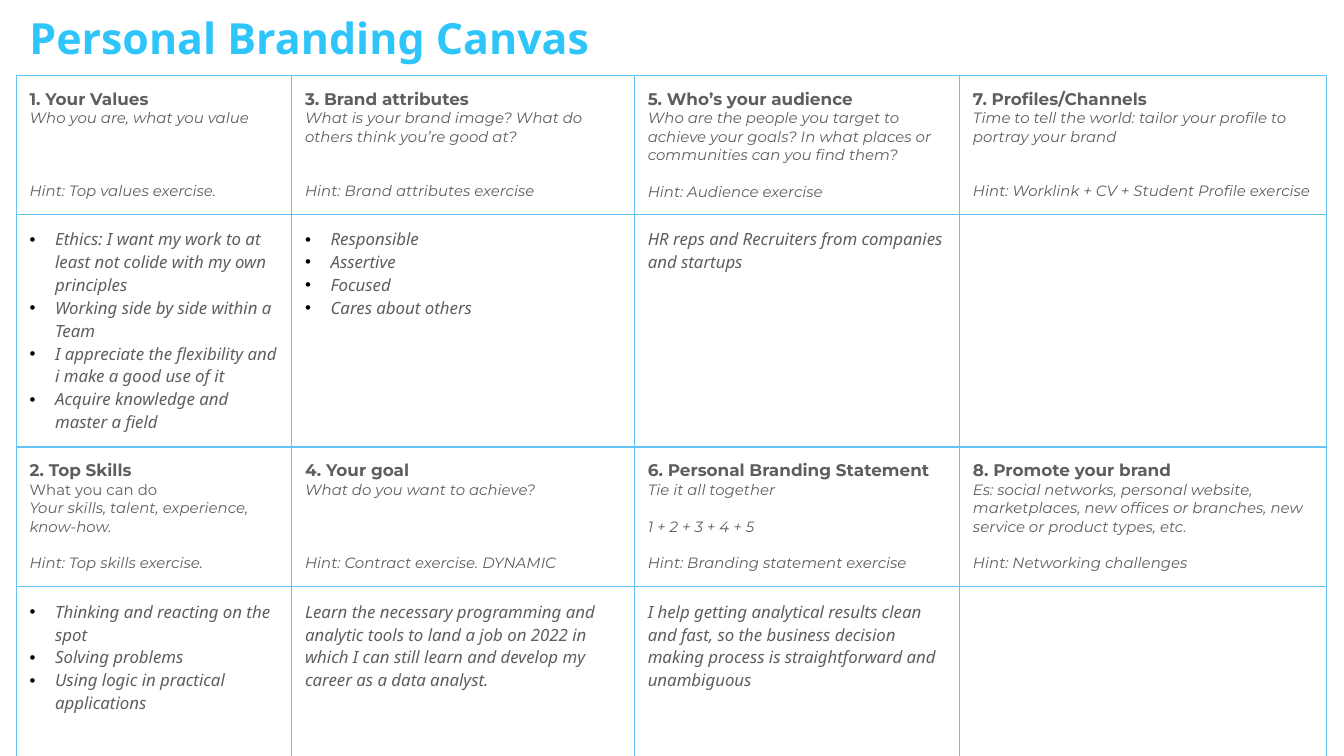
"""Builds a one-slide personal branding canvas."""
import dataclasses
import typing

import lxml.etree
import pptx
import pptx.dml.color
import pptx.oxml.ns
import pptx.util

Inches = pptx.util.Inches
Pt = pptx.util.Pt
qualified = pptx.oxml.ns.qn


@dataclasses.dataclass(frozen=True)
class Theme:
    heading_font: str = "Montserrat"
    body_font: str = "Noto Sans"
    title_colour: str = "2DC5FA"
    text_colour: str = "5E5E5E"
    bullet_colour: str = "000000"
    border_colour: str = "64C3F5"
    title_size: float = 23
    text_size: float = 9
    hint_size: float = 8
    hint_line: float = 9.75
    border_width: float = 0.75
    inset: float = 0.1
    bullet_indent: float = 0.19


@dataclasses.dataclass(frozen=True)
class Line:
    text: str
    gap_lines: int = 0
    italic: bool = True


@dataclasses.dataclass(frozen=True)
class Prompt:
    heading: str
    lines: tuple[Line, ...]


@dataclasses.dataclass(frozen=True)
class Answer:
    texts: tuple[str, ...] = ()
    bulleted: bool = False


THEME = Theme()
PAGE_WIDTH = 10
PAGE_HEIGHT = PAGE_WIDTH * 9 / 16
COLUMN_WIDTHS = (2.05, 2.55, 2.42, 2.73)
ROW_HEIGHTS = (0.99, 1.29, 1.04, 1.64)

ROWS: tuple[tuple[typing.Union[Prompt, Answer], ...], ...] = (
    (
        Prompt("1. Your Values", (
            Line("Who you are, what you value"),
            Line("Hint: Top values exercise.", 3))),
        Prompt("3. Brand attributes", (
            Line("What is your brand image? What do others think you’re good at?"),
            Line("Hint: Brand attributes exercise", 2))),
        Prompt("5. Who’s your audience", (
            Line("Who are the people you target to achieve your goals? "
                 "In what places or communities can you find them?"),
            Line("Hint: Audience exercise", 1))),
        Prompt("7. Profiles/Channels", (
            Line("Time to tell the world: tailor your profile to portray your brand"),
            Line("Hint: Worklink + CV + Student Profile exercise", 2))),
    ),
    (
        Answer(("Ethics: I want my work to at least not colide with my own principles",
                "Working side by side within a Team",
                "I appreciate the flexibility and i make a good use of it",
                "Acquire knowledge and master a field"), True),
        Answer(("Responsible", "Assertive", "Focused", "Cares about others"), True),
        Answer(("HR reps and Recruiters from companies and startups",)),
        Answer(),
    ),
    (
        Prompt("2. Top Skills", (
            Line("What you can do", italic=False),
            Line("Your skills, talent, experience, know-how."),
            Line("Hint: Top skills exercise.", 1))),
        Prompt("4. Your goal", (
            Line("What do you want to achieve?"),
            Line("Hint: Contract exercise. DYNAMIC", 3))),
        Prompt("6. Personal Branding Statement", (
            Line("Tie it all together"),
            Line("1 + 2 + 3 + 4 + 5", 1),
            Line("Hint: Branding statement exercise", 1))),
        Prompt("8. Promote your brand", (
            Line("Es: social networks, personal website, marketplaces, "
                 "new offices or branches, new service or product types, etc."),
            Line("Hint: Networking challenges", 1))),
    ),
    (
        Answer(("Thinking and reacting on the spot", "Solving problems",
                "Using logic in practical applications"), True),
        Answer(("Learn the necessary programming and analytic tools to land a job on 2022 "
                "in which I can still learn and develop my career as a data analyst.",)),
        Answer(("I help getting analytical results clean and fast, so the business decision "
                "making process is straightforward and unambiguous",)),
        Answer(),
    ),
)


def set_font(paragraph, name: str, size: float, colour: str,
             bold: bool = False, italic: bool = False) -> None:
    font = paragraph.font
    font.name, font.size, font.bold, font.italic = name, Pt(size), bold, italic
    font.color.rgb = pptx.dml.color.RGBColor.from_string(colour)


def set_insets(holder) -> None:
    holder.margin_left = holder.margin_right = Inches(THEME.inset)
    holder.margin_top = holder.margin_bottom = Inches(THEME.inset)


def add_colour(parent, colour: str) -> None:
    lxml.etree.SubElement(parent, qualified("a:srgbClr"), val=colour)


def add_bullet(paragraph) -> None:
    properties = paragraph._p.get_or_add_pPr()
    indent = Inches(THEME.bullet_indent)
    properties.set("marL", str(indent))
    properties.set("indent", str(-indent))
    add_colour(lxml.etree.SubElement(properties, qualified("a:buClr")), THEME.bullet_colour)
    lxml.etree.SubElement(properties, qualified("a:buFont"), typeface="Arial")
    lxml.etree.SubElement(properties, qualified("a:buChar"), char="•")


def style_cell(cell) -> None:
    properties = cell._tc.get_or_add_tcPr()
    for side in ("a:lnL", "a:lnR", "a:lnT", "a:lnB"):
        border = lxml.etree.SubElement(properties, qualified(side), w=str(Pt(THEME.border_width)))
        add_colour(lxml.etree.SubElement(border, qualified("a:solidFill")), THEME.border_colour)
    cell.fill.background()
    set_insets(cell)


def write_prompt(frame, prompt: Prompt) -> None:
    heading = frame.paragraphs[0]
    heading.text = prompt.heading
    set_font(heading, THEME.heading_font, THEME.text_size, THEME.text_colour, bold=True)
    for line in prompt.lines:
        paragraph = frame.add_paragraph()
        paragraph.text = line.text
        if line.gap_lines:
            paragraph.space_before = Pt(line.gap_lines * THEME.hint_line)
        set_font(paragraph, THEME.heading_font, THEME.hint_size, THEME.text_colour,
                 italic=line.italic)


def write_answer(frame, answer: Answer) -> None:
    for index, text in enumerate(answer.texts):
        paragraph = frame.add_paragraph() if index else frame.paragraphs[0]
        paragraph.text = text
        if answer.bulleted:
            add_bullet(paragraph)
        set_font(paragraph, THEME.body_font, THEME.text_size, THEME.text_colour, italic=True)


def add_canvas(page) -> None:
    table = page.shapes.add_table(
        len(ROW_HEIGHTS), len(COLUMN_WIDTHS), Inches(0.12), Inches(0.56),
        Inches(sum(COLUMN_WIDTHS)), Inches(sum(ROW_HEIGHTS))).table
    table.first_row = table.horz_banding = False
    for column, width in zip(table.columns, COLUMN_WIDTHS):
        column.width = Inches(width)
    for row, height, contents in zip(table.rows, ROW_HEIGHTS, ROWS):
        row.height = Inches(height)
        for cell, content in zip(row.cells, contents):
            style_cell(cell)
            write = write_prompt if isinstance(content, Prompt) else write_answer
            write(cell.text_frame, content)


def add_title(page) -> None:
    box = page.shapes.add_textbox(Inches(0.12), Inches(-0.01), Inches(7.52), Inches(0.54))
    frame = box.text_frame
    frame.word_wrap = True
    set_insets(frame)
    paragraph = frame.paragraphs[0]
    paragraph.text = "Personal Branding Canvas"
    set_font(paragraph, THEME.body_font, THEME.title_size, THEME.title_colour, bold=True)


def main() -> None:
    deck = pptx.Presentation()
    deck.slide_width, deck.slide_height = Inches(PAGE_WIDTH), Inches(PAGE_HEIGHT)
    page = deck.slides.add_slide(deck.slide_layouts[6])
    add_canvas(page)
    add_title(page)
    deck.save("out.pptx")


if __name__ == "__main__":
    main()
